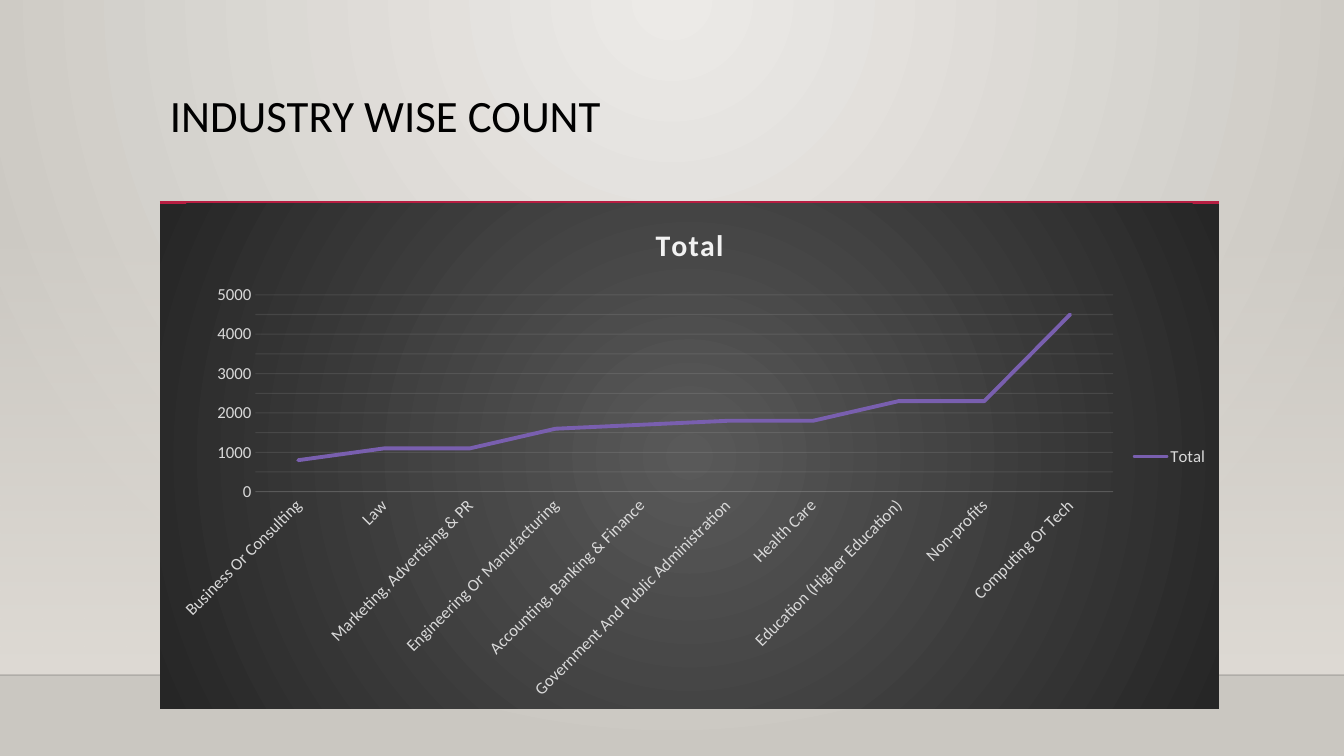
from copy import deepcopy

from pptx import Presentation
from pptx.chart.data import CategoryChartData
from pptx.dml.color import RGBColor
from pptx.enum.chart import XL_CHART_TYPE, XL_LEGEND_POSITION, XL_TICK_MARK
from pptx.enum.shapes import MSO_CONNECTOR, MSO_SHAPE
from pptx.oxml import parse_xml
from pptx.oxml.ns import nsdecls, qn
from pptx.util import Pt

LINE = XL_CHART_TYPE.LINE
RIGHT = XL_LEGEND_POSITION.RIGHT
NO_TICK = XL_TICK_MARK.NONE
RECT = MSO_SHAPE.RECTANGLE
STRAIGHT = MSO_CONNECTOR.STRAIGHT

PX = 914400 / 100.8
WIDE, HIGH = 1344, 756
FONT = "Calibri"
HUES = {
    "light": "ECEAE7", "dark": "CAC7C1", "floor": "DFDBD5",
    "edge": "000001", "red": "B71E42", "black": "000000",
    "pale": "F2F2F2", "label": "D9D9D9", "line": "795FAF",
    "mid": "595959", "deep": "262626",
}
COUNTS = {
    "Business Or Consulting": 800,
    "Law": 1100,
    "Marketing, Advertising & PR": 1100,
    "Engineering Or Manufacturing": 1600,
    "Accounting, Banking & Finance": 1700,
    "Government And Public Administration": 1800,
    "Health Care": 1800,
    "Education (Higher Education)": 2300,
    "Non-profits": 2300,
    "Computing Or Tech": 4500,
}


def px(*nums):
    return [round(n * PX) for n in nums]


def rgb(hue):
    return RGBColor.from_string(HUES[hue])


def fade(node, part):
    """Set the opacity, in percent, of every colour inside node."""
    for clr in node.iter(qn("a:srgbClr")):
        clr.append(parse_xml(f'<a:alpha {nsdecls("a")} val="{part * 1000}"/>'))


def blend(first, last, way, clear=100):
    """Make a two-stop gradient; clear is the first stop's opacity."""
    return parse_xml(
        f'<a:gradFill {nsdecls("a")} rotWithShape="1"><a:gsLst>'
        f'<a:gs pos="0"><a:srgbClr val="{HUES[first]}">'
        f'<a:alpha val="{clear * 1000}"/></a:srgbClr></a:gs>'
        f'<a:gs pos="100000"><a:srgbClr val="{HUES[last]}"/></a:gs>'
        f'</a:gsLst>{way}</a:gradFill>')


def ring(left, top, right, low):
    return (f'<a:path path="circle"><a:fillToRect l="{left * 1000}" '
            f't="{top * 1000}" r="{right * 1000}" b="{low * 1000}"/></a:path>')


class Page:
    def __init__(self, deck):
        self.slide = deck.slides.add_slide(deck.slide_layouts[6])
        self.shapes = self.slide.shapes

    def swap(self, node, grad):
        old = node.find(qn("a:solidFill"))
        node.replace(old, grad)

    def back(self, grad):
        self.slide.background.fill.solid()
        self.swap(next(self.slide.element.iter(qn("p:bgPr"))), grad)

    def rect(self, box, grad):
        shape = self.shapes.add_shape(RECT, *px(*box))
        shape.shadow.inherit = False
        shape.line.fill.background()
        shape.fill.solid()
        self.swap(shape.element.spPr, grad)

    def rule(self, left, right, y, hue, size, part=100):
        rule = self.shapes.add_connector(STRAIGHT, *px(left, y, right, y))
        rule.line.color.rgb = rgb(hue)
        rule.line.width = Pt(size)
        props = rule.element.spPr
        if part < 100:
            fade(props, part)
        props.append(parse_xml(f'<a:effectLst {nsdecls("a")}/>'))

    def style(self, font, size, hue, bold=False):
        font.name, font.size, font.bold = FONT, Pt(size), bold
        font.color.rgb = rgb(hue)

    def text(self, box, words, size, hue):
        frame = self.shapes.add_textbox(*px(*box)).text_frame
        frame.word_wrap = True
        para = frame.paragraphs[0]
        para.text = words
        para.line_spacing = 0.9
        self.style(para.font, size, hue)

    def stroke(self, line):
        line.color.rgb = rgb("pale")
        line.width = Pt(0.75)

    def chart(self, box, name, counts, grad):
        data = CategoryChartData()
        data.categories = list(counts)
        data.add_series(name, list(counts.values()))
        chart = self.shapes.add_chart(LINE, *px(*box), data).chart
        root = chart.element
        self.style(chart.font, 10, "black")

        # Panel behind the plot
        panel = parse_xml(f'<c:spPr {nsdecls("c", "a")}><a:ln><a:noFill/></a:ln></c:spPr>')
        panel.insert(0, grad)
        root.find(qn("c:txPr")).addprevious(panel)

        # Title and legend
        chart.has_title = True
        title = chart.chart_title
        title.include_in_layout = False
        para = title.text_frame.paragraphs[0]
        para.text = name
        self.style(para.font, 21.3, "pale", True)
        for props in root.iter(qn("a:defRPr")):
            if props.get("sz") == "2130":
                props.set("spc", "100")
        chart.has_legend = True
        chart.legend.position = RIGHT
        chart.legend.include_in_layout = False
        self.style(chart.legend.font, 12, "label")

        # Axes and grid
        cats, vals = chart.category_axis, chart.value_axis
        for axis in (cats, vals):
            axis.major_tick_mark = axis.minor_tick_mark = NO_TICK
            self.style(axis.tick_labels.font, 12, "label")
        self.stroke(cats.format.line)
        vals.format.line.fill.background()
        vals.minimum_scale, vals.maximum_scale = 0, 5000
        vals.major_unit, vals.minor_unit = 1000, 500
        vals.has_major_gridlines = vals.has_minor_gridlines = True
        self.stroke(vals.major_gridlines.format.line)
        major = next(root.iter(qn("c:majorGridlines")))
        minor = next(root.iter(qn("c:minorGridlines")))
        minor.append(deepcopy(major.find(qn("c:spPr"))))
        for line in root.iter(qn("a:ln")):
            fade(line, 10)
        base = next(root.iter(qn("c:catAx")))
        base.find(qn("c:txPr")).find(qn("a:bodyPr")).set("rot", "-2700000")

        # Series
        plot = chart.plots[0]
        plot.vary_by_categories = False
        series = plot.series[0]
        series.smooth = False
        series.format.line.color.rgb = rgb("line")
        series.format.line.width = Pt(2.75)
        next(root.iter(qn("c:ser"))).find(qn("c:spPr")).find(qn("a:ln")).set("cap", "rnd")

        # Place of the plot inside the panel
        spots = {"x": 0.09, "y": 0.18, "w": 0.81, "h": 0.39}
        modes = "".join(f'<c:{k}Mode val="edge"/>' for k in "xy")
        sizes = "".join(f'<c:{k} val="{v}"/>' for k, v in spots.items())
        area = next(root.iter(qn("c:plotArea")))
        for old in area.findall(qn("c:layout")):
            area.remove(old)
        area.insert(0, parse_xml(
            f'<c:layout {nsdecls("c")}><c:manualLayout><c:layoutTarget val="inner"/>'
            f'{modes}{sizes}</c:manualLayout></c:layout>'))


def main():
    deck = Presentation()
    deck.slide_width, deck.slide_height = px(WIDE, HIGH)
    page = Page(deck)

    # Backdrop
    page.back(blend("light", "dark", ring(43, 0, 43, 100)))
    page.rect((0, 223, WIDE, 452),
              blend("floor", "floor", '<a:lin ang="5400000" scaled="0"/>', 0))
    page.rule(0, WIDE, 675, "edge", 1, 20)
    page.rule(160, 1219, 203, "red", 2.5)

    # Heading and chart
    page.text((160, 89, 1059, 116), "INDUSTRY WISE COUNT", 32, "black")
    page.chart((160, 204, 1059, 505), "Total", COUNTS,
               blend("mid", "deep", ring(50, 50, 50, 50)))
    deck.save("out.pptx")


if __name__ == "__main__":
    main()
